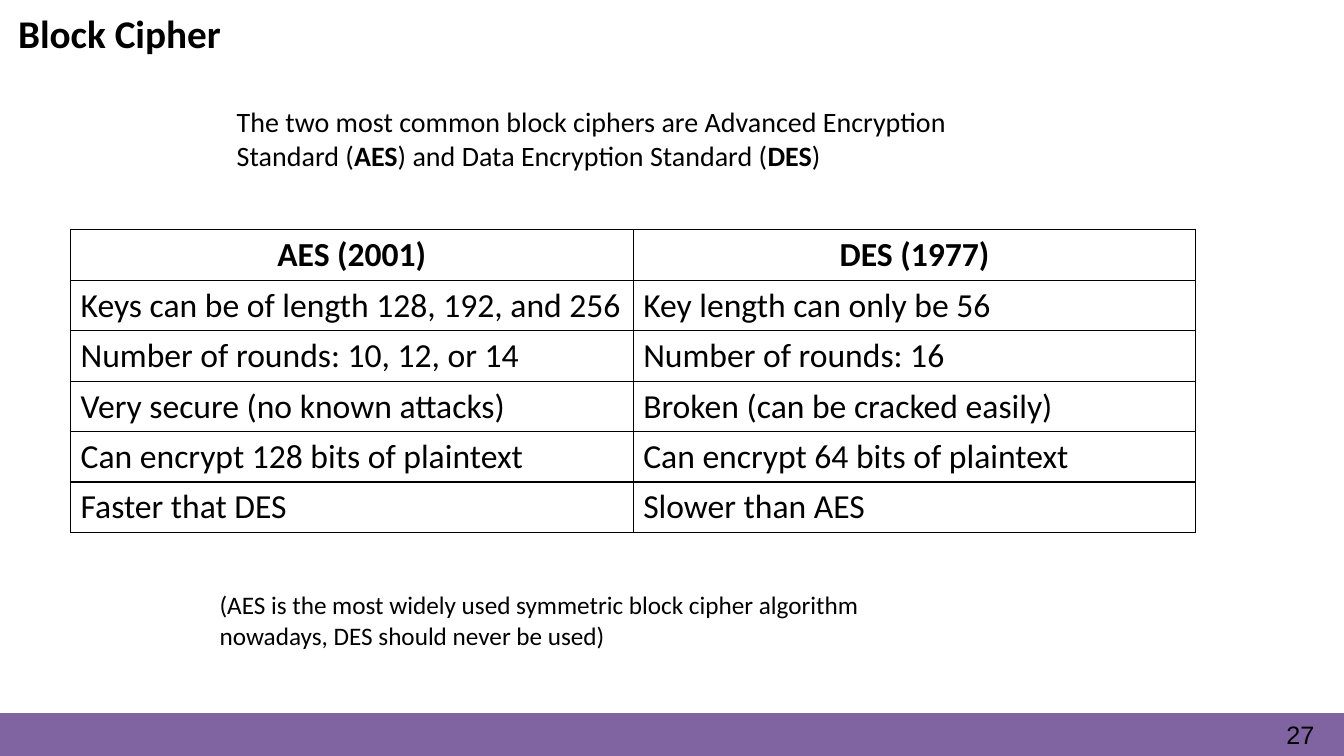
import pptx
import pptx.util
import pptx.oxml
import pptx.dml.color
import pptx.enum.text
import pptx.enum.shapes

Inches, Pt = pptx.util.Inches, pptx.util.Pt
RGBColor = pptx.dml.color.RGBColor
PP_ALIGN = pptx.enum.text.PP_ALIGN
MSO_ANCHOR = pptx.enum.text.MSO_ANCHOR

# Content
HEADING = "Block Cipher"
INTRO = [  # (text, bold)
    ("The two most common block ciphers are Advanced Encryption Standard (", False),
    ("AES", True),
    (") and Data Encryption Standard (", False),
    ("DES", True),
    (")", False),
]
COMPARISON = [
    ("AES (2001)", "DES (1977)"),
    ("Keys can be of length 128, 192, and 256", "Key length can only be 56"),
    ("Number of rounds: 10, 12, or 14", "Number of rounds: 16"),
    ("Very secure (no known attacks)", "Broken (can be cracked easily)"),
    ("Can encrypt 128 bits of plaintext", "Can encrypt 64 bits of plaintext"),
    ("Faster that DES", "Slower than AES"),
]
ADVICE = [("(AES is the most widely used symmetric block cipher algorithm "
           "nowadays, DES should never be used)", False)]
PAGE = [("27", False)]

BLACK = RGBColor(0, 0, 0)
WHITE = RGBColor(255, 255, 255)
PURPLE = RGBColor(0x80, 0x63, 0xA1)

# Layout, in inches
WIDTH, HEIGHT = 13.33, 7.5
BAND_HEIGHT = 0.42
COLUMN_WIDTH, ROW_HEIGHT = 5.58, 0.5


def box(left, top, width, height):
    return [Inches(length) for length in (left, top, width, height)]


def set_font(paragraph, size, name="Calibri"):
    paragraph.font.size = Pt(size)
    paragraph.font.name = name
    paragraph.font.color.rgb = BLACK


def add_text(slide, area, runs, size, name="Calibri"):
    frame = slide.shapes.add_textbox(*box(*area)).text_frame
    frame.word_wrap = True
    paragraph = frame.paragraphs[0]
    for text, bold in runs:
        run = paragraph.add_run()
        run.text = text
        if bold:
            run.font.bold = True
    set_font(paragraph, size, name)
    return frame


def add_borders(cell):
    properties = cell._tc.get_or_add_tcPr()
    for side in "LRTB":
        properties.append(pptx.oxml.parse_xml(
            f'<a:ln{side} xmlns:a="http://schemas.openxmlformats.org/drawingml/2006/main" '
            f'w="{Pt(1)}"><a:solidFill><a:srgbClr val="{BLACK}"/></a:solidFill></a:ln{side}>'))


def main():
    deck = pptx.Presentation()
    deck.slide_width, deck.slide_height = Inches(WIDTH), Inches(HEIGHT)
    slide = deck.slides.add_slide(deck.slide_layouts[5])

    # Footer band and page number
    band = slide.shapes.add_shape(
        pptx.enum.shapes.MSO_SHAPE.RECTANGLE,
        *box(0, HEIGHT - BAND_HEIGHT, WIDTH, BAND_HEIGHT))
    band.shadow.inherit = False
    band.fill.solid()
    band.fill.fore_color.rgb = PURPLE
    band.line.color.rgb = PURPLE
    band.line.width = Pt(1)

    page = add_text(slide, (12.76, 7.15, 0.53, 0.31), PAGE, 18, "Arial")
    page.margin_left = page.margin_right = page.margin_top = page.margin_bottom = 0
    page.paragraphs[0].line_spacing = Pt(20.9)

    # Title
    title = slide.shapes.title
    title.left, title.top, title.width, title.height = box(0.08, 0.04, 2.63, 0.57)
    title.text_frame.text = HEADING
    title.text_frame.word_wrap = False
    title.text_frame.vertical_anchor = MSO_ANCHOR.TOP
    heading = title.text_frame.paragraphs[0]
    heading.alignment = PP_ALIGN.LEFT
    set_font(heading, 28)
    heading.font.bold = True

    # Introduction and advice
    add_text(slide, (2.25, 0.99, 8.06, 0.77), INTRO, 20)
    add_text(slide, (2.08, 5.8, 7, 0.71), ADVICE, 18)

    # Comparison table
    rows, columns = len(COMPARISON), len(COMPARISON[0])
    table = slide.shapes.add_table(
        rows, columns,
        *box(0.7, 2.28, columns * COLUMN_WIDTH, rows * ROW_HEIGHT)).table
    table.horz_banding = False
    for r, row in enumerate(COMPARISON):
        for c, text in enumerate(row):
            cell = table.cell(r, c)
            add_borders(cell)
            cell.fill.solid()
            cell.fill.fore_color.rgb = WHITE
            cell.text = text
            paragraph = cell.text_frame.paragraphs[0]
            set_font(paragraph, 24)
            paragraph.font.bold = r == 0
            paragraph.alignment = PP_ALIGN.CENTER if r == 0 else PP_ALIGN.LEFT

    deck.save("out.pptx")


if __name__ == "__main__":
    main()
